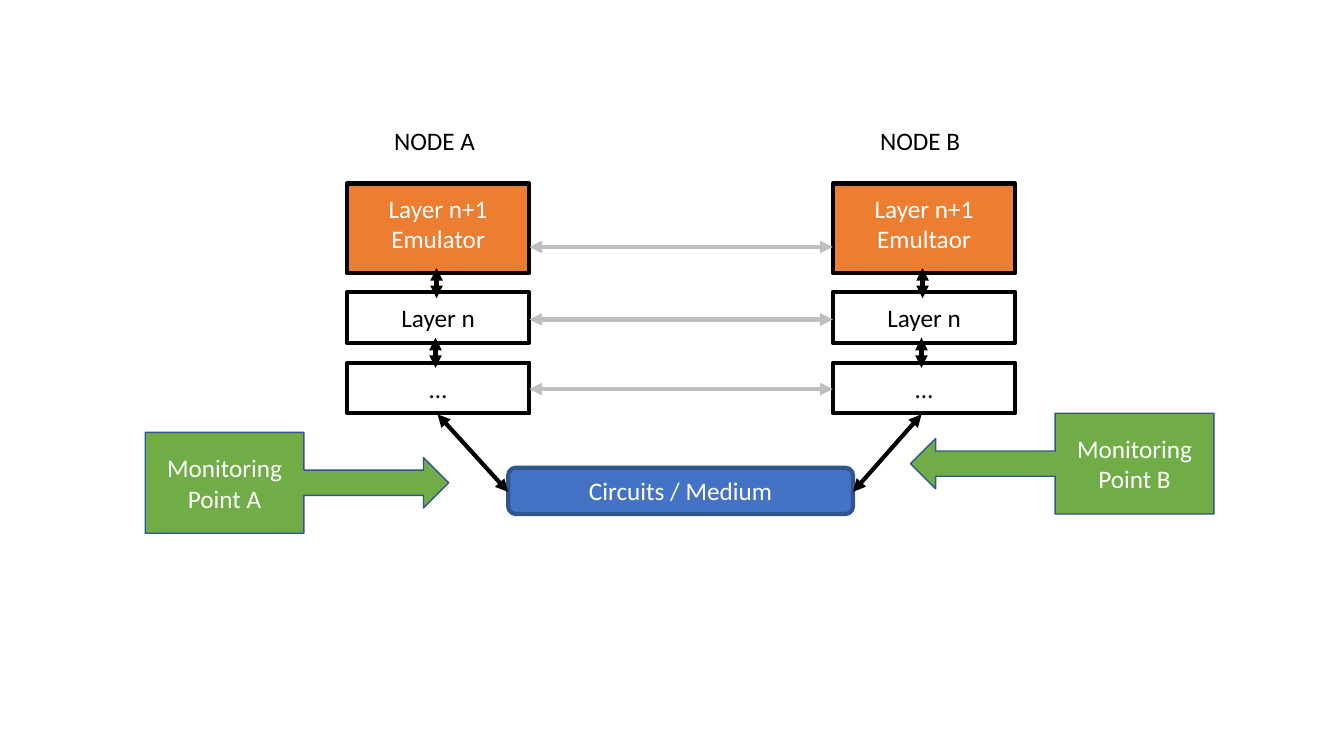
from lxml import etree
from pptx import Presentation
from pptx.dml.color import RGBColor
from pptx.enum.shapes import MSO_CONNECTOR, MSO_SHAPE
from pptx.enum.text import MSO_ANCHOR, PP_ALIGN
from pptx.oxml.ns import qn
from pptx.util import Inches, Pt

BLACK = RGBColor(0x00, 0x00, 0x00)
WHITE = RGBColor(0xFF, 0xFF, 0xFF)
ORANGE = RGBColor(0xED, 0x7D, 0x31)
GREEN = RGBColor(0x70, 0xAD, 0x47)
BLUE = RGBColor(0x44, 0x72, 0xC4)
DARK_BLUE = RGBColor(0x32, 0x54, 0x91)
GRAY = RGBColor(0xBF, 0xBF, 0xBF)

RECTANGLE = MSO_SHAPE.RECTANGLE
ROUNDED = MSO_SHAPE.ROUNDED_RECTANGLE
LEFT_CALLOUT = MSO_SHAPE.LEFT_ARROW_CALLOUT
RIGHT_CALLOUT = MSO_SHAPE.RIGHT_ARROW_CALLOUT
STRAIGHT = MSO_CONNECTOR.STRAIGHT
CENTER, LEFT = PP_ALIGN.CENTER, PP_ALIGN.LEFT
TOP, MIDDLE = MSO_ANCHOR.TOP, MSO_ANCHOR.MIDDLE

# Grid in inches: two node columns, three layer rows
NODE_LEFTS = (3.44, 8.26)
NODE_WIDTH = 1.81
LAYER_ROWS = ((1.82, 0.89), (2.9, 0.5), (3.6, 0.5))
PEER_LINKS = (2.45, 3.17, 3.86)
STACK_LINKS = ((0.89, 2.66), (0.88, 3.35))
STACK_LINK_LENGTH = 0.3
MEDIUM = (5.04, 4.64, 3.42, 0.46)
MONITOR_SIZE = (3.01, 1)


def write_text(shape, text, color=BLACK, align=CENTER, anchor=MIDDLE,
               wrap=True, side_inset=0.1, end_inset=0.05):
    frame = shape.text_frame
    frame.word_wrap = wrap
    frame.vertical_anchor = anchor
    frame.margin_left = frame.margin_right = Inches(side_inset)
    frame.margin_top = frame.margin_bottom = Inches(end_inset)
    paragraph = frame.paragraphs[0]
    paragraph.text = text
    paragraph.alignment = align
    paragraph.font.name = "Calibri"
    paragraph.font.size = Pt(18)
    paragraph.font.color.rgb = color


def add_box(slide, kind, place, fill, line, width):
    shape = slide.shapes.add_shape(kind, *map(Inches, place))
    shape.shadow.inherit = False
    if fill is None:
        shape.fill.background()
    else:
        shape.fill.solid()
        shape.fill.fore_color.rgb = fill
    shape.line.color.rgb = line
    shape.line.width = Pt(width)
    return shape


def add_double_arrow(slide, start, end, color=BLACK):
    connector = slide.shapes.add_connector(STRAIGHT, *map(Inches, start + end))
    connector.line.color.rgb = color
    connector.line.width = Pt(3)
    line = connector.line._get_or_add_ln()
    for tag in ("a:headEnd", "a:tailEnd"):
        etree.SubElement(line, qn(tag), type="triangle")
    etree.SubElement(connector._element.spPr, qn("a:effectLst"))


def add_node(slide, left, name, emulator):
    """Draw a node's stack of layers, its inner arrows and its label."""
    labels = ((f"Layer n+1\v{emulator}", ORANGE, WHITE),
              ("Layer n", None, BLACK), ("…", None, BLACK))
    for (top, height), (text, fill, color) in zip(LAYER_ROWS, labels):
        layer = add_box(slide, RECTANGLE, (left, top, NODE_WIDTH, height),
                        fill, BLACK, 3)
        write_text(layer, text, color, anchor=TOP, wrap=False,
                   side_inset=0.25, end_inset=0.1)
    for offset, top in STACK_LINKS:
        add_double_arrow(slide, (left + offset, top),
                         (left + offset, top + STACK_LINK_LENGTH))
    label = slide.shapes.add_textbox(
        *map(Inches, (left + 0.37, 1.19, 1.01, 0.4)))
    write_text(label, name, align=LEFT, anchor=TOP, wrap=False)


def add_monitor(slide, kind, left, top, text):
    callout = add_box(slide, kind, (left, top, *MONITOR_SIZE),
                      GREEN, DARK_BLUE, 1)
    for index, share in enumerate((0.25, 0.25, 0.25, 0.523)):
        callout.adjustments[index] = share
    write_text(callout, text, WHITE)


def main():
    presentation = Presentation()
    presentation.slide_width = Inches(13.33)
    presentation.slide_height = Inches(7.5)
    slide = presentation.slides.add_slide(presentation.slide_layouts[6])

    node_a, node_b = NODE_LEFTS
    add_node(slide, node_a, "NODE A", "Emulator")
    add_node(slide, node_b, "NODE B", "Emultaor")
    for height in PEER_LINKS:
        add_double_arrow(slide, (node_b, height),
                         (node_a + NODE_WIDTH, height), GRAY)

    medium = add_box(slide, ROUNDED, MEDIUM, BLUE, DARK_BLUE, 3)
    write_text(medium, "Circuits / Medium", WHITE)
    medium_left, medium_right = MEDIUM[0], MEDIUM[0] + MEDIUM[2]
    add_double_arrow(slide, (node_a + 0.9, 4.11), (medium_left, 4.88))
    add_double_arrow(slide, (node_b + 0.88, 4.11), (medium_right, 4.88))

    add_monitor(slide, LEFT_CALLOUT, 9.03, 4.1, "Monitoring Point B")
    add_monitor(slide, RIGHT_CALLOUT, 1.44, 4.29, "Monitoring Point A")
    presentation.save("out.pptx")


if __name__ == "__main__":
    main()
